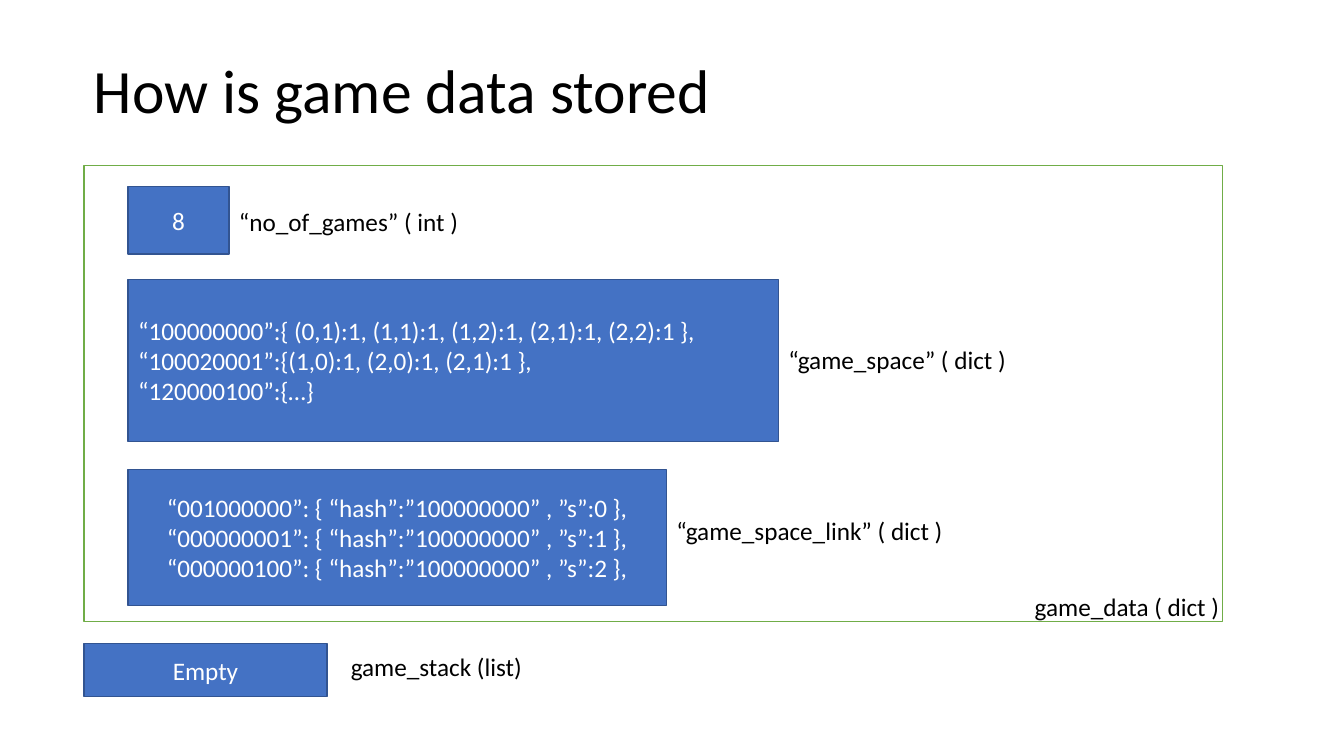
from dataclasses import dataclass

from pptx import Presentation
from pptx import util as u
from pptx.dml.color import RGBColor
from pptx.enum import shapes, text

PROCESS = shapes.MSO_SHAPE.FLOWCHART_PROCESS
RECT = shapes.MSO_SHAPE.RECTANGLE
LEFT, CENTER = text.PP_ALIGN.LEFT, text.PP_ALIGN.CENTER


@dataclass(frozen=True)
class Theme:
    font: str = "Calibri"
    title: float = 44
    body: float = 18
    ink: str = "000000"
    paper: str = "FFFFFF"
    box: str = "4472C4"
    box_line: str = "325491"
    frame_line: str = "70AD47"


class Deck:
    def __init__(self, theme):
        self.theme = theme
        self.prs = Presentation()
        self.prs.slide_width, self.prs.slide_height = u.Pt(960), u.Pt(540)
        self.s = self.prs.slides.add_slide(self.prs.slide_layouts[6])

    def add_lines(self, sp, lines, size, color, align=LEFT):
        """Set one paragraph per line and return the shape's text frame."""
        tf = sp.text_frame
        for i, line in enumerate(lines):
            p = tf.paragraphs[0] if i == 0 else tf.add_paragraph()
            p.alignment = align
            r = p.add_run()
            r.text = line
            r.font.name = self.theme.font
            r.font.size = u.Pt(size)
            r.font.color.rgb = RGBColor.from_string(color)
        return tf

    def shape(self, kind, at, fill, line):
        sp = self.s.shapes.add_shape(kind, *map(u.Pt, at))
        sp.shadow.inherit = False
        sp.fill.solid()
        sp.fill.fore_color.rgb = RGBColor.from_string(fill)
        sp.line.color.rgb = RGBColor.from_string(line)
        sp.line.width = u.Pt(1)
        return sp

    def frame(self, at):
        self.shape(PROCESS, at, self.theme.paper, self.theme.frame_line)

    def value_box(self, at, lines, align=CENTER, kind=PROCESS):
        t = self.theme
        sp = self.shape(kind, at, t.box, t.box_line)
        tf = self.add_lines(sp, lines, t.body, t.paper, align)
        tf.vertical_anchor = text.MSO_ANCHOR.MIDDLE

    def label(self, at, line, wrap=True):
        sp = self.s.shapes.add_textbox(*map(u.Pt, at))
        tf = self.add_lines(sp, [line], self.theme.body, self.theme.ink)
        tf.word_wrap = wrap
        tf.auto_size = text.MSO_AUTO_SIZE.SHAPE_TO_FIT_TEXT

    def title(self, at, line):
        sp = self.s.shapes.add_textbox(*map(u.Pt, at))
        tf = self.add_lines(sp, [line], self.theme.title, self.theme.ink)
        tf.word_wrap = True
        tf.vertical_anchor = text.MSO_ANCHOR.MIDDLE
        tf.paragraphs[0].line_spacing = 0.9


MARGIN, INDENT, LABEL_H = 60, 91.5, 29

# top, width, height, alignment, lines, label, label top, label width
ENTRIES = [
    (335.5, 384.5, 97, CENTER,
     [f"“{key}”: {{ “hash”:”100000000” , ”s”:{turn} }},"
      for turn, key in enumerate(("001000000", "000000001", "000000100"))],
     "“game_space_link” ( dict )", 364.5, 207.5),
    (199.5, 464.5, 116, LEFT,
     ["“100000000”:{ (0,1):1, (1,1):1, (1,2):1, (2,1):1, (2,2):1 },",
      "“100020001”:{(1,0):1, (2,0):1, (2,1):1 },",
      "“120000100”:{…}"],
     "“game_space” ( dict )", 242.5, 173),
    (133, 72, 48.5, CENTER, ["8"],
     "“no_of_games” ( int )", 144, 173),
]


def main():
    deck = Deck(Theme())
    deck.title((MARGIN, 31, 828, 71.5), "How is game data stored")

    deck.frame((MARGIN, 118, 813, 326))
    for top, width, height, align, lines, name, name_top, name_width in ENTRIES:
        deck.value_box((INDENT, top, width, height), lines, align)
        deck.label((INDENT + width, name_top, name_width, LABEL_H), name)
    deck.label((732, 418.5, 148.5, LABEL_H), "game_data ( dict )")

    deck.value_box((MARGIN, 459.5, 173.5, 38), ["Empty"], kind=RECT)
    deck.label((243.5, 462, 138, LABEL_H), "game_stack (list)", wrap=False)
    deck.prs.save("out.pptx")


if __name__ == "__main__":
    main()
